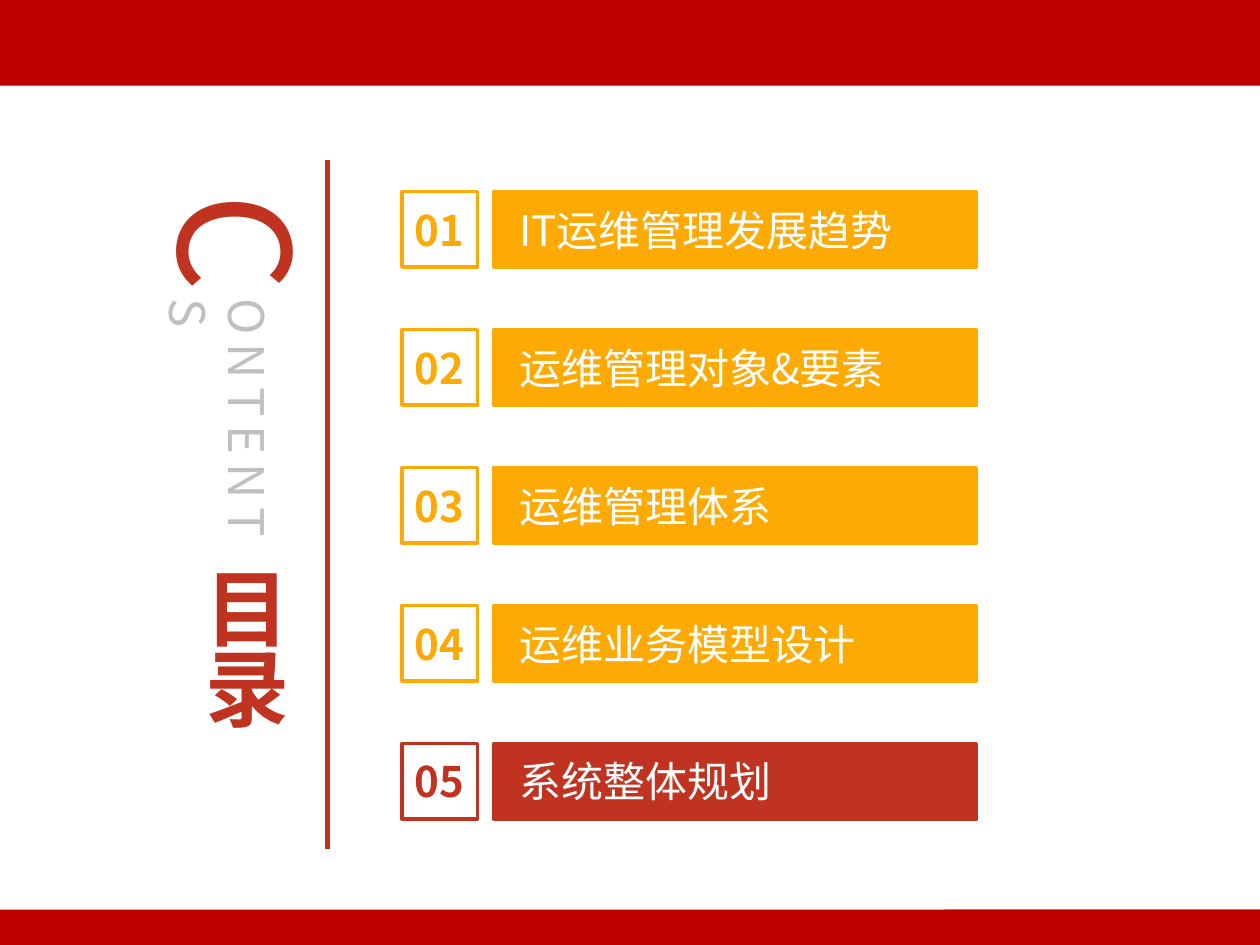
from lxml.etree import SubElement
from pptx import Presentation
from pptx.dml.color import RGBColor
from pptx.enum.shapes import MSO_CONNECTOR, MSO_SHAPE
from pptx.enum.text import MSO_ANCHOR, PP_ALIGN
from pptx.oxml.ns import qn
from pptx.util import Inches, Pt

FONT = "Noto Sans CJK SC"
BAND, RED, AMBER, GREY, WHITE = "C00000", "C03321", "FDAA04", "C0C0C0", "FFFFFF"
ITEMS = [
    ("IT运维管理发展趋势", AMBER),
    ("运维管理对象&要素", AMBER),
    ("运维管理体系", AMBER),
    ("运维业务模型设计", AMBER),
    ("系统整体规划", RED),
]
BANDS = [(0, 0.68), (7.22, 0.28)]
TITLES = [
    ((1.33, 1.44, 1.15, 1.3), "C",
     dict(size=88, color=RED, vert="eaVert")),
    ((1.53, 4.39, 0.76, 1.64), "目\n录",
     dict(size=48, color=RED, bold=True, align=PP_ALIGN.CENTER, line_spacing=0.8)),
    ((1.58, 2.27, 0.67, 2.26), "ONTENTS",
     dict(size=28, color=GREY, vert="eaVert", anchor=MSO_ANCHOR.TOP, tracking=5)),
]
TOP, PITCH, SIDE = 1.52, 1.095, 0.6
NUMBER_X, LABEL_X, LABEL_W = 3.19, 3.92, 3.83


def rgb(value):
    """Turn a hex string into a colour."""
    return RGBColor.from_string(value)


def put_text(sp, text, size=24, color=WHITE, bold=False, align=PP_ALIGN.LEFT,
             anchor=MSO_ANCHOR.MIDDLE, insets=(0.1, 0.05, 0.1, 0.05),
             vert=None, tracking=None, line_spacing=None):
    """Fill a shape with formatted text, one paragraph per line."""
    tf = sp.text_frame
    tf.word_wrap = True
    tf.vertical_anchor = anchor
    tf.margin_left, tf.margin_top, tf.margin_right, tf.margin_bottom = map(Inches, insets)
    if vert:
        tf._txBody.bodyPr.set("vert", vert)
    tf.text = text
    for p in tf.paragraphs:
        p.alignment = align
        p.line_spacing = line_spacing
        r = p.runs[0]
        r.font.size, r.font.bold, r.font.name = Pt(size), bold, FONT
        r.font.color.rgb = rgb(color)
        rPr = r.font._element
        SubElement(rPr, qn("a:ea"), typeface=FONT)
        if tracking:
            rPr.set("spc", str(tracking * 100))


def add_box(s, box, fill=None, line=None):
    """Add a rectangle with an optional fill and outline."""
    sp = s.shapes.add_shape(MSO_SHAPE.RECTANGLE, *map(Inches, box))
    sp.shadow.inherit = False
    if fill:
        sp.fill.solid()
        sp.fill.fore_color.rgb = rgb(fill)
    else:
        sp.fill.background()
    if line:
        sp.line.color.rgb = rgb(line)
        sp.line.width = Pt(2)
    else:
        sp.line.fill.background()
    return sp


def main():
    """Build the contents slide."""
    prs = Presentation()
    prs.slide_width, prs.slide_height = Inches(10), Inches(7.5)
    s = prs.slides.add_slide(prs.slide_layouts[6])

    for top, height in BANDS:
        add_box(s, (0, top, 10, height), fill=BAND)
    arrow = s.shapes.add_shape(MSO_SHAPE.PENTAGON, *map(Inches, (7.36, 7.22, 2.64, 0.28)))
    arrow.shadow.inherit = False
    arrow.fill.solid()
    arrow.fill.fore_color.rgb = rgb(BAND)
    arrow.line.fill.background()
    arrow._element.spPr.xfrm.set("flipH", "1")

    for i, (label, color) in enumerate(ITEMS):
        y = TOP + i * PITCH
        number = add_box(s, (NUMBER_X, y, SIDE, SIDE), line=color)
        put_text(number, f"{i + 1:02}", color=color, bold=True,
                 align=PP_ALIGN.CENTER, insets=(0, 0, 0, 0))
        bar = add_box(s, (LABEL_X, y, LABEL_W, SIDE), fill=color, line=color)
        put_text(bar, label, insets=(0.2, 0.05, 0.1, 0.05))

    rule = s.shapes.add_connector(MSO_CONNECTOR.STRAIGHT, *map(Inches, (2.6, 1.27, 2.6, 6.74)))
    rule.line.color.rgb = rgb(RED)
    rule.line.width = Pt(3.25)
    SubElement(rule._element.spPr, qn("a:effectLst"))

    for box, text, style in TITLES:
        put_text(s.shapes.add_textbox(*map(Inches, box)), text, **style)

    prs.save("out.pptx")


if __name__ == "__main__":
    main()
